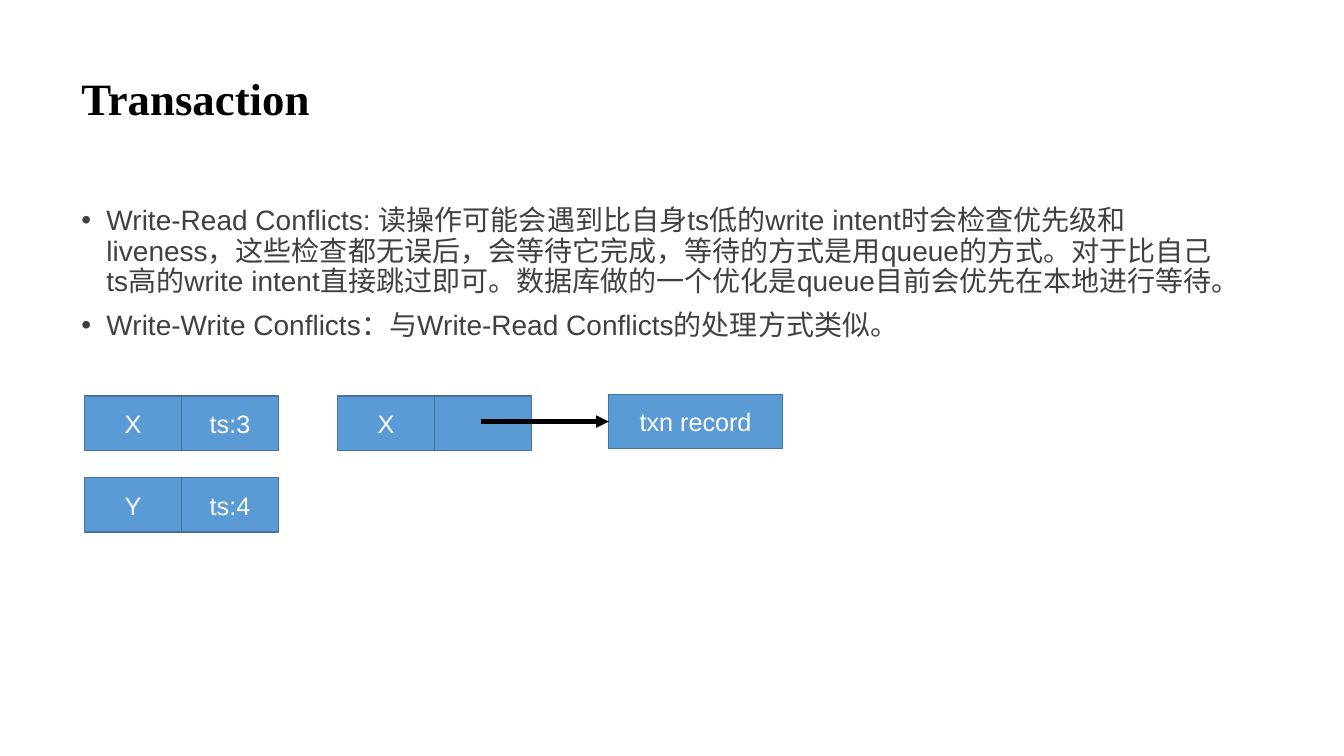
from lxml import etree
from pptx import Presentation
from pptx.dml.color import RGBColor
from pptx.enum.shapes import MSO_CONNECTOR, MSO_SHAPE
from pptx.enum.text import MSO_ANCHOR, PP_ALIGN
from pptx.oxml.ns import qn
from pptx.util import Pt

RECTANGLE = MSO_SHAPE.RECTANGLE
STRAIGHT = MSO_CONNECTOR.STRAIGHT
MIDDLE = MSO_ANCHOR.MIDDLE
CENTER = PP_ALIGN.CENTER


def color(value):
    return RGBColor.from_string(value)


def format_text(paragraph, formats, text_color):
    for attribute, value in formats.items():
        setattr(paragraph.font, attribute, value)
    paragraph.font.color.rgb = color(text_color)


deck = Presentation()
deck.slide_width = Pt(960)
deck.slide_height = Pt(540)
slide = deck.slides.add_slide(deck.slide_layouts[6])

heading = slide.shapes.add_textbox(Pt(51), Pt(20), Pt(828), Pt(104.4)).text_frame
heading.word_wrap = True
heading.vertical_anchor = MIDDLE
heading.text = "Transaction"
heading.paragraphs[0].line_spacing = 0.9
format_text(heading.paragraphs[0],
            {"name": "Times New Roman", "size": Pt(32), "bold": True}, "000000")

conflicts = [
    "Write-Read Conflicts: 读操作可能会遇到比自身ts低的write intent时会检查优先级和"
    "liveness，这些检查都无误后，会等待它完成，等待的方式是用queue的方式。"
    "对于比自己ts高的write intent直接跳过即可。数据库做的一个优化是queue目前会优先在本地进行等待。",
    "Write-Write Conflicts：与Write-Read Conflicts的处理方式类似。",
]
explanation = slide.shapes.add_textbox(Pt(51), Pt(144), Pt(828), Pt(118.8)).text_frame
explanation.word_wrap = True
for index, conflict in enumerate(conflicts):
    paragraph = explanation.add_paragraph() if index else explanation.paragraphs[0]
    paragraph.text = conflict
    paragraph.line_spacing = 0.9
    paragraph.space_before = Pt(10 if index else 0)
    properties = paragraph._p.get_or_add_pPr()
    properties.set("marL", str(Pt(18)))
    properties.set("indent", str(-Pt(18)))
    etree.SubElement(properties, qn("a:buFont")).set("typeface", "Arial")
    etree.SubElement(properties, qn("a:buChar")).set("char", "•")
    format_text(paragraph, {"name": "Arial", "size": Pt(20)}, "404040")

cell_width, cell_height = 69.2, 38.9
versions_left, intent_left, record_left = 60.5, 241.2, 434.9
row_x, row_y, record_top = 283, 341.3, 281.7
cells = [
    ("X", versions_left, row_x, cell_width),
    ("ts:3", versions_left + cell_width, row_x, cell_width),
    ("Y", versions_left, row_y, cell_width),
    ("ts:4", versions_left + cell_width, row_y, cell_width),
    ("X", intent_left, row_x, cell_width),
    ("", intent_left + cell_width, row_x, cell_width),
    ("txn record", record_left, record_top, 124),
]
for label, left, top, width in cells:
    cell = slide.shapes.add_shape(RECTANGLE, Pt(left), Pt(top), Pt(width), Pt(cell_height))
    cell.shadow.inherit = False
    cell.fill.solid()
    cell.fill.fore_color.rgb = color("5B9BD5")
    cell.line.color.rgb = color("43739E")
    cell.line.width = Pt(1)
    if label:
        cell.text_frame.text = label
        cell.text_frame.vertical_anchor = MIDDLE
        cell.text_frame.paragraphs[0].alignment = CENTER
        format_text(cell.text_frame.paragraphs[0],
                    {"name": "Arial", "size": Pt(18)}, "FFFFFF")
txn_record = cell

pointer_y = record_top + cell_height / 2
pointer = slide.shapes.add_connector(
    STRAIGHT, Pt(343.6), Pt(pointer_y), Pt(record_left), Pt(pointer_y))
pointer.end_connect(txn_record, 1)
pointer.line.color.rgb = color("000000")
pointer.line.width = Pt(3)
etree.SubElement(pointer.line._get_or_add_ln(), qn("a:tailEnd")).set("type", "triangle")
etree.SubElement(pointer._element.spPr, qn("a:effectLst"))

deck.save("out.pptx")
